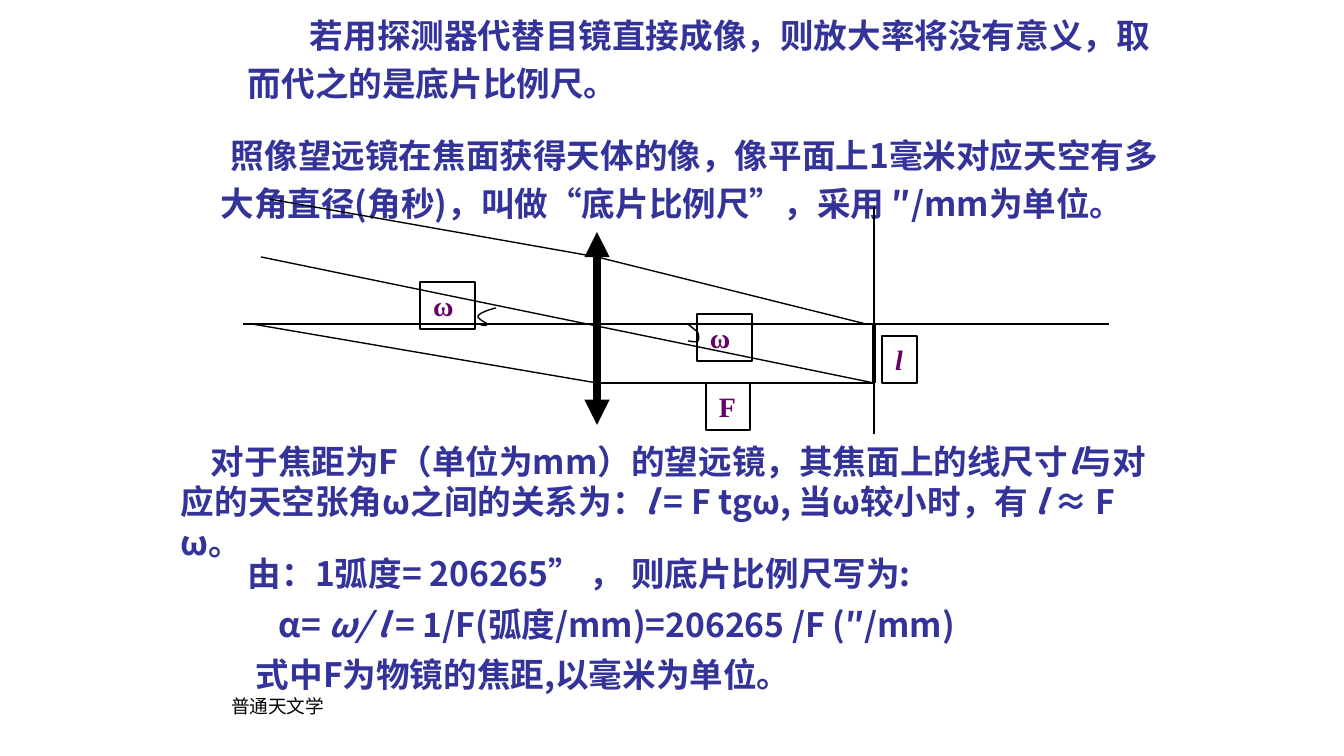
from dataclasses import dataclass

from lxml import etree
from pptx import Presentation
from pptx.dml.color import RGBColor
from pptx.enum.shapes import MSO_CONNECTOR, MSO_SHAPE
from pptx.enum.text import MSO_ANCHOR, MSO_AUTO_SIZE, PP_ALIGN
from pptx.oxml.ns import qn
from pptx.util import Emu, Pt

STRAIGHT = MSO_CONNECTOR.STRAIGHT
RECTANGLE = MSO_SHAPE.RECTANGLE
TOP, MIDDLE = MSO_ANCHOR.TOP, MSO_ANCHOR.MIDDLE
GROW = MSO_AUTO_SIZE.SHAPE_TO_FIT_TEXT
LEFT, CENTER = PP_ALIGN.LEFT, PP_ALIGN.CENTER
EMU_PER_PX = 914400 / 134.4
INSET_X, INSET_Y = 13, 7


@dataclass(frozen=True)
class Theme:
    ink: RGBColor = RGBColor(0x00, 0x00, 0x00)
    text: RGBColor = RGBColor(0x33, 0x33, 0x99)
    label: RGBColor = RGBColor(0x66, 0x00, 0x66)
    body_font: str = "Noto Sans CJK SC"
    label_font: str = "Times New Roman"
    footer_font: str = "Arial"
    body_size: int = 18
    label_size: int = 15
    footer_size: int = 10
    thin: float = 0.75
    thick: float = 2.25
    lens: float = 4.5


THEME = Theme()


def px(n):
    return Emu(round(n * EMU_PER_PX))


def style_run(r, font, size, color, bold, italic=False):
    r.font.size = Pt(size)
    r.font.bold = bold
    r.font.italic = italic
    r.font.color.rgb = color
    r.font.name = font
    ea = etree.SubElement(r.font._element, qn("a:ea"))
    ea.set("typeface", THEME.body_font)


def set_frame(tf, anchor=TOP, top=INSET_Y):
    tf.margin_left = tf.margin_right = px(INSET_X)
    tf.margin_top, tf.margin_bottom = px(top), px(INSET_Y)
    tf.vertical_anchor = anchor


def add_text(s, box, paragraphs, spacing=1.0, align=LEFT, anchor=TOP, top=INSET_Y,
             font=THEME.body_font, size=THEME.body_size, color=THEME.text, bold=True):
    tf = s.shapes.add_textbox(*map(px, box)).text_frame
    tf.word_wrap = True
    set_frame(tf, anchor, top)
    for i, (indent, runs) in enumerate(paragraphs):
        p = tf.add_paragraph() if i else tf.paragraphs[0]
        p.alignment = align
        p.line_spacing = spacing
        p._p.get_or_add_pPr().set("indent", str(px(indent)))
        for j, text in enumerate(runs):
            r = p.add_run()
            r.text = text
            style_run(r, font, size, color, bold, italic=j % 2 == 1)


def add_line(s, start, end, width=THEME.thin, arrows=False):
    sp = s.shapes.add_connector(STRAIGHT, *map(px, start + end))
    sp.line.color.rgb = THEME.ink
    sp.line.width = Pt(width)
    if arrows:
        ln = sp.line._get_or_add_ln()
        for tag in ("a:headEnd", "a:tailEnd"):
            etree.SubElement(ln, qn(tag)).set("type", "triangle")
    etree.SubElement(sp._element.spPr, qn("a:effectLst"))


def curve_points(start, segments, steps=8):
    for a, b, end in segments:
        for i in range(1, steps + 1):
            t = i / steps
            u = 1 - t
            yield tuple(px(u**3 * w + 3 * u * u * t * x + 3 * u * t * t * y + t**3 * z)
                        for w, x, y, z in zip(start, a, b, end))
        start = end


def add_arc(s, start, segments):
    builder = s.shapes.build_freeform(px(start[0]), px(start[1]))
    builder.add_line_segments(list(curve_points(start, segments)), close=False)
    sp = builder.convert_to_shape()
    sp.shadow.inherit = False
    sp.fill.background()
    sp.line.color.rgb = THEME.ink
    sp.line.width = Pt(THEME.thin)


def add_label(s, text, left, top, width, italic=False):
    sp = s.shapes.add_shape(RECTANGLE, *map(px, (left, top, width, 47)))
    sp.shadow.inherit = False
    sp.fill.background()
    sp.line.color.rgb = THEME.ink
    sp.line.width = Pt(THEME.thin)
    tf = sp.text_frame
    tf.text = text
    tf.word_wrap = False
    tf.auto_size = GROW
    set_frame(tf)
    p = tf.paragraphs[0]
    p.alignment = LEFT
    style_run(p.runs[0], THEME.label_font, THEME.label_size, THEME.label, True, italic)


def add_diagram(s):
    lens_x, focus_x, axis_y, image_y = 597, 874, 324, 383
    add_line(s, (lens_x, 232), (lens_x, 425), THEME.lens, arrows=True)
    for start, end in [
        ((243, axis_y), (1109, axis_y)),
        ((261, 257), (focus_x, image_y)),
        ((269, 199), (lens_x, 257)),
        ((lens_x, 257), (866, axis_y)),
        ((252, axis_y), (lens_x, image_y)),
        ((lens_x, image_y), (focus_x, image_y)),
        ((focus_x, 207), (focus_x, 434)),
    ]:
        add_line(s, start, end)
    add_line(s, (focus_x, axis_y), (focus_x, image_y), THEME.thick)
    add_arc(s, (496, 308), [
        ((488, 310), (480, 313), (478, 316)),
        ((477, 319), (487, 323), (487, 324)),
        ((487, 327), (482, 325), (478, 324)),
    ])
    add_arc(s, (688, 324), [
        ((692, 328), (696, 330), (698, 333)),
        ((699, 336), (699, 340), (698, 341)),
        ((696, 343), (690, 341), (688, 341)),
    ])
    add_label(s, "ω", 697, 314, 55)
    add_label(s, "ω", 420, 282, 55)
    add_label(s, "F", 706, 383, 44)
    add_label(s, "l", 882, 336, 35, italic=True)


def main():
    prs = Presentation()
    prs.slide_width, prs.slide_height = px(1344), px(756)
    s = prs.slides.add_slide(prs.slide_layouts[6])
    add_text(s, (168, 109, 1008, 108), [
        (45, ["照像望远镜在焦面获得天体的像，像平面上1毫米对应天空有多大角直径(角秒)，"
              "叫做“底片比例尺”，采用 ″/mm为单位。"]),
    ], spacing=1.2, align=CENTER, anchor=MIDDLE, top=31)
    add_text(s, (235, 536, 941, 164), [
        (0, ["由：1弧度= 206265” ， 则底片比例尺写为:"]),
        (31, ["α= ", "ω/ l ", "= 1/F(弧度/mm)=206265 /F (″/mm)"]),
        (8, ["式中F为物镜的焦距,以毫米为单位。"]),
    ], spacing=1.25)
    add_text(s, (168, 434, 1008, 134), [
        (30, ["对于焦距为F（单位为mm）的望远镜，其焦面上的线尺寸", "l",
              "与对应的天空张角ω之间的关系为：", "l ",
              "= F tgω, 当ω较小时，有 ", "l ", "≈ F ω。"]),
    ])
    add_diagram(s)
    add_text(s, (235, 0, 957, 118), [
        (62, ["若用探测器代替目镜直接成像，则放大率将没有意义，取而代之的是底片比例尺。"]),
    ], spacing=1.2)
    add_text(s, (218, 688, 235, 52), [(0, ["普通天文学"])], font=THEME.footer_font,
             size=THEME.footer_size, color=THEME.ink, bold=False)
    prs.save("out.pptx")


if __name__ == "__main__":
    main()
